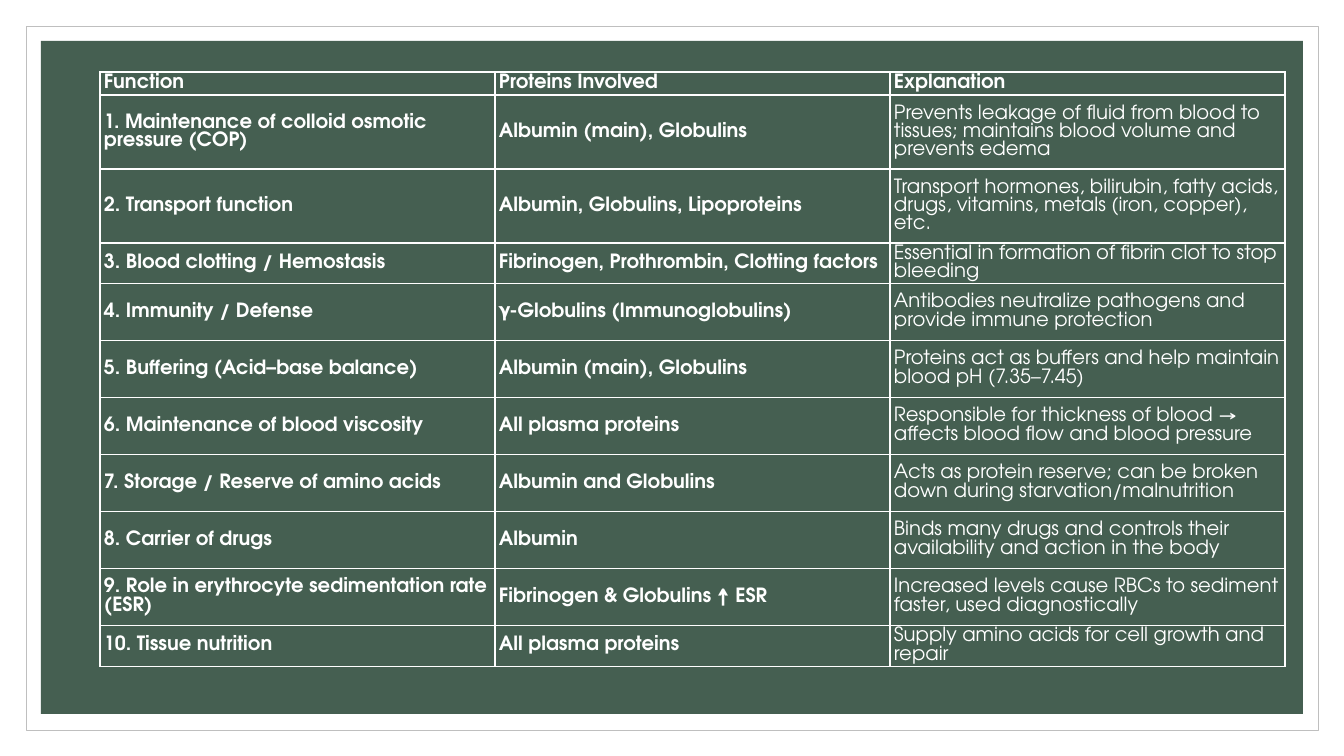
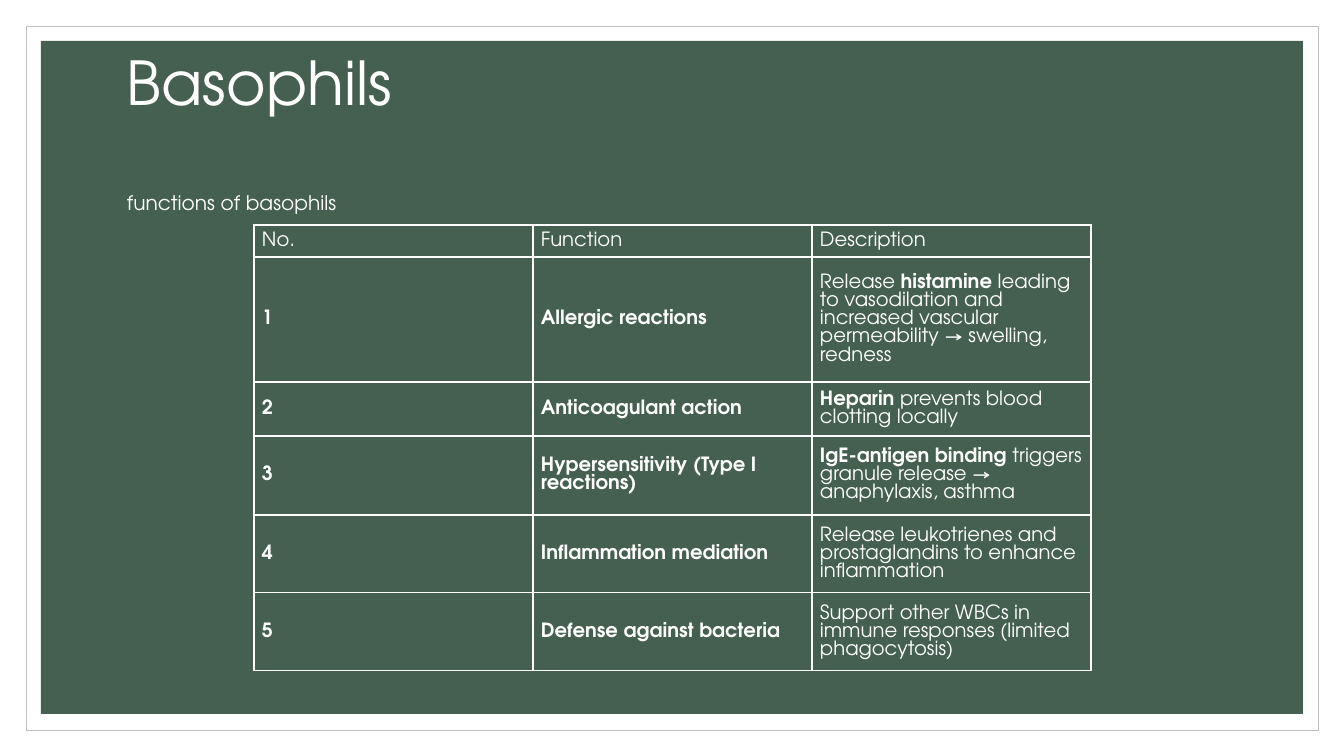
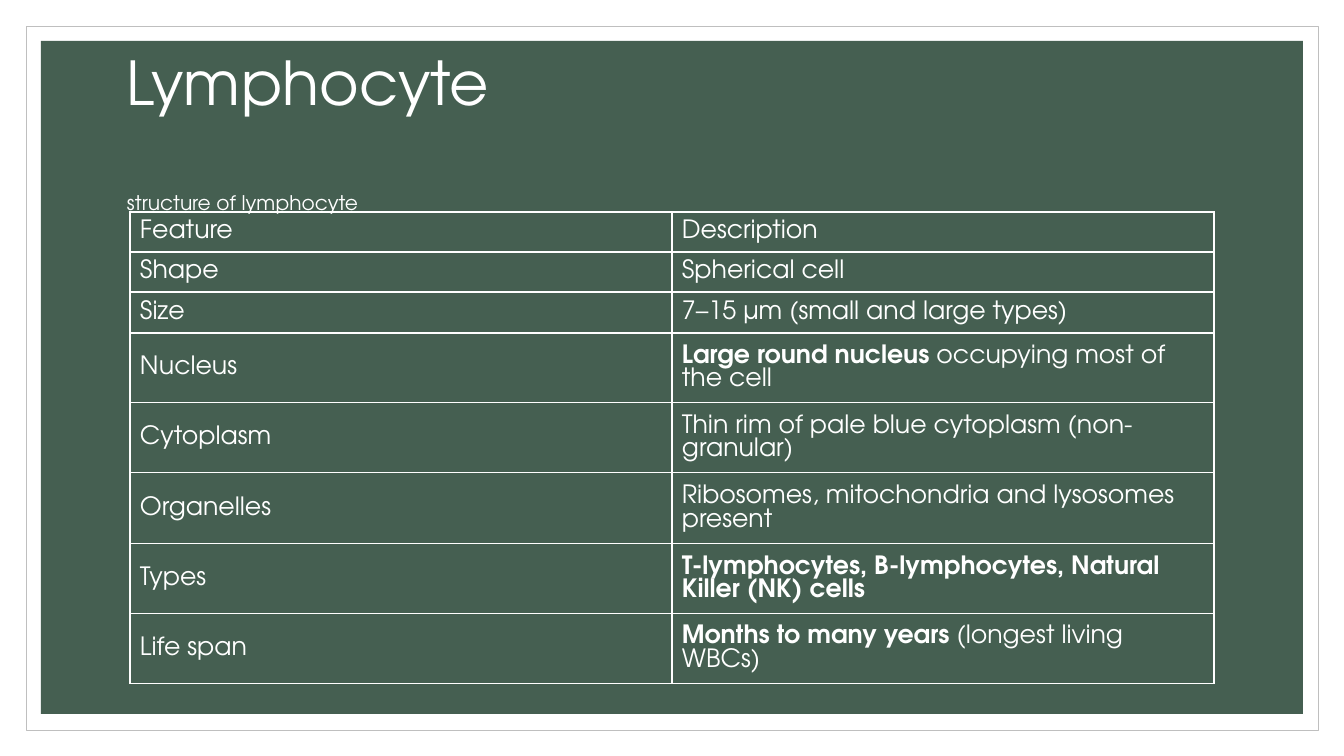
"""Build three slides of tables on blood proteins and white cells."""
from dataclasses import dataclass

from lxml import etree
from pptx import Presentation
from pptx import util as u
from pptx.dml.color import RGBColor
from pptx.enum import shapes, text
from pptx.oxml.ns import qn

PX = 914400 / 100.8
FONT = "TeX Gyre Adventor"
HUES = {"white": "FFFFFF", "green": "455F51", "grey": "BFBFBF"}


@dataclass(frozen=True)
class Panel:
    """A rectangle shared by all slides."""
    box: tuple[int, int, int, int]
    fill: str
    line: str = ""


@dataclass(frozen=True)
class Grid:
    """A table with its place, format and rows."""
    left: int
    top: int
    width: int
    highs: tuple[int, ...]
    inset: tuple[int, int]
    size: int
    lead: int
    rows: tuple[tuple[str, ...], ...]


@dataclass(frozen=True)
class Page:
    """One slide with an optional heading above its table."""
    grid: Grid
    title: str = ""
    sub: str = ""


PANELS = (
    Panel((26, 26, 1292, 704), "white", "grey"),
    Panel((41, 41, 1262, 673), "green"),
)

ROLES = Grid(100, 72, 395, (23, 74, 74, 40) + (57,) * 6 + (41,), (4, 2), 14, 2, (
    ("**Function", "**Proteins Involved", "**Explanation"),
    ("1. Maintenance of colloid osmotic pressure (COP)", "Albumin (main), Globulins",
     "Prevents leakage of fluid from blood to tissues; maintains blood volume and prevents edema"),
    ("2. Transport function", "Albumin, Globulins, Lipoproteins",
     "Transport hormones, bilirubin, fatty acids, drugs, vitamins, metals (iron, copper), etc."),
    ("3. Blood clotting / Hemostasis", "Fibrinogen, Prothrombin, Clotting factors",
     "Essential in formation of fibrin clot to stop bleeding"),
    ("4. Immunity / Defense", "γ-Globulins (Immunoglobulins)",
     "Antibodies neutralize pathogens and provide immune protection"),
    ("5. Buffering (Acid–base balance)", "Albumin (main), Globulins",
     "Proteins act as buffers and help maintain blood pH (7.35–7.45)"),
    ("6. Maintenance of blood viscosity", "All plasma proteins",
     "Responsible for thickness of blood → affects blood flow and blood pressure"),
    ("7. Storage / Reserve of amino acids", "Albumin and Globulins",
     "Acts as protein reserve; can be broken down during starvation/malnutrition"),
    ("8. Carrier of drugs", "Albumin",
     "Binds many drugs and controls their availability and action in the body"),
    ("9. Role in erythrocyte sedimentation rate (ESR)", "Fibrinogen & Globulins ↑ ESR",
     "Increased levels cause RBCs to sediment faster, used diagnostically"),
    ("10. Tissue nutrition", "All plasma proteins",
     "Supply amino acids for cell growth and repair"),
))

BASO = Grid(254, 225, 279, (32, 125, 54, 79, 78, 78), (8, 4), 14, 2, (
    ("No.", "Function", "Description"),
    ("1", "Allergic reactions",
     "Release **histamine** leading to vasodilation and increased vascular "
     "permeability → swelling, redness"),
    ("2", "Anticoagulant action", "**Heparin** prevents blood clotting locally"),
    ("3", "Hypersensitivity (Type I reactions)",
     "**IgE-antigen binding** triggers granule release → anaphylaxis, asthma"),
    ("4", "Inflammation mediation",
     "Release leukotrienes and prostaglandins to enhance inflammation"),
    ("5", "Defense against bacteria",
     "Support other WBCs in immune responses (limited phagocytosis)"),
))

LYMPH = Grid(130, 212, 542, (40, 40, 41, 70, 70, 71, 70, 70), (10, 5), 18, 0, (
    ("Feature", "Description"),
    ("Shape", "Spherical cell"),
    ("Size", "7–15 µm (small and large types)"),
    ("Nucleus", "**Large round nucleus** occupying most of the cell"),
    ("Cytoplasm", "Thin rim of pale blue cytoplasm (non-granular)"),
    ("Organelles", "Ribosomes, mitochondria and lysosomes present"),
    ("Types", "**T-lymphocytes, B-lymphocytes, Natural Killer (NK) cells"),
    ("Life span", "**Months to many years** (longest living WBCs)"),
))

PAGES = (
    Page(ROLES),
    Page(BASO, "Basophils", "functions of basophils"),
    Page(LYMPH, "Lymphocyte", "structure of lymphocyte"),
)


def px(num: float) -> int:
    """Turn px into EMU."""
    return u.Emu(round(num * PX))


def hue(name: str) -> RGBColor:
    """Look up a colour."""
    return RGBColor.from_string(HUES[name])


def put(item, **vals) -> None:
    """Set attributes from format values."""
    for key, val in vals.items():
        setattr(item, key, val)


def write(para, words: str, size: float, bold: bool = False) -> None:
    """Add runs, switching weight at each double star."""
    for num, part in enumerate(words.split("**")):
        if part:
            run = para.add_run()
            run.text = part
            put(run.font, name=FONT, size=u.Pt(size), bold=bold or num % 2 == 1)
            run.font.color.rgb = hue("white")


def frame(prs, slide) -> None:
    """Draw the panels and move them to the back of the master."""
    tree = prs.slide_master.shapes.element
    for num, panel in enumerate(PANELS):
        rect = slide.shapes.add_shape(shapes.MSO_SHAPE.RECTANGLE, *map(px, panel.box))
        rect.shadow.inherit = False
        rect.fill.solid()
        rect.fill.fore_color.rgb = hue(panel.fill)
        if panel.line:
            rect.line.color.rgb = hue(panel.line)
            rect.line.width = u.Pt(0.5)
        else:
            rect.line.fill.background()
        rect.element.xpath(".//p:cNvPr")[0].set("id", str(100 + num))
        tree.insert(2 + num, rect.element)


def head(slide, page: Page) -> None:
    """Format the title placeholder with its small second line."""
    title = slide.shapes.title
    put(title, left=px(118), top=px(45), width=px(1109), height=px(167))
    body = title.text_frame
    put(body, word_wrap=True, vertical_anchor=text.MSO_ANCHOR.TOP,
        auto_size=text.MSO_AUTO_SIZE.NONE, margin_left=px(9), margin_right=px(9),
        margin_top=0, margin_bottom=0)
    first, second = body.paragraphs[0], body.add_paragraph()
    write(first, page.title, 43.2)
    write(second, page.sub, 14.4)
    for para in (first, second):
        put(para, alignment=text.PP_ALIGN.LEFT, space_before=u.Pt(0))
    second.space_before = px(73)


def edge(cell) -> None:
    """Give a cell white borders on all sides."""
    props = cell._tc.get_or_add_tcPr()
    for num, side in enumerate(("lnL", "lnR", "lnT", "lnB")):
        line = etree.Element(qn(f"a:{side}"), w=str(u.Pt(1)))
        fill = etree.SubElement(line, qn("a:solidFill"))
        etree.SubElement(fill, qn("a:srgbClr"), val=HUES["white"])
        props.insert(num, line)


def table(slide, grid: Grid) -> None:
    """Draw a grid as a table."""
    count = len(grid.rows[0])
    area = (grid.left, grid.top, grid.width * count, sum(grid.highs))
    tab = slide.shapes.add_table(len(grid.rows), count, *map(px, area)).table
    put(tab, first_row=False, horz_banding=False)
    for col in tab.columns:
        col.width = px(grid.width)
    side, cap = map(px, grid.inset)
    for i, (high, row) in enumerate(zip(grid.highs, grid.rows)):
        tab.rows[i].height = px(high)
        for j, words in enumerate(row):
            cell = tab.cell(i, j)
            put(cell, margin_left=side, margin_right=side, margin_top=cap,
                margin_bottom=cap, vertical_anchor=text.MSO_ANCHOR.MIDDLE)
            cell.fill.background()
            edge(cell)
            write(cell.text_frame.paragraphs[0], words, grid.size, i > 0 and j < grid.lead)


def main() -> None:
    """Build and save the slides."""
    prs = Presentation()
    put(prs, slide_width=px(1344), slide_height=px(756))
    for num, page in enumerate(PAGES):
        slide = prs.slides.add_slide(prs.slide_layouts[5 if page.title else 6])
        if num == 0:
            frame(prs, slide)
        if page.title:
            head(slide, page)
        table(slide, page.grid)
    prs.save("out.pptx")


if __name__ == "__main__":
    main()
